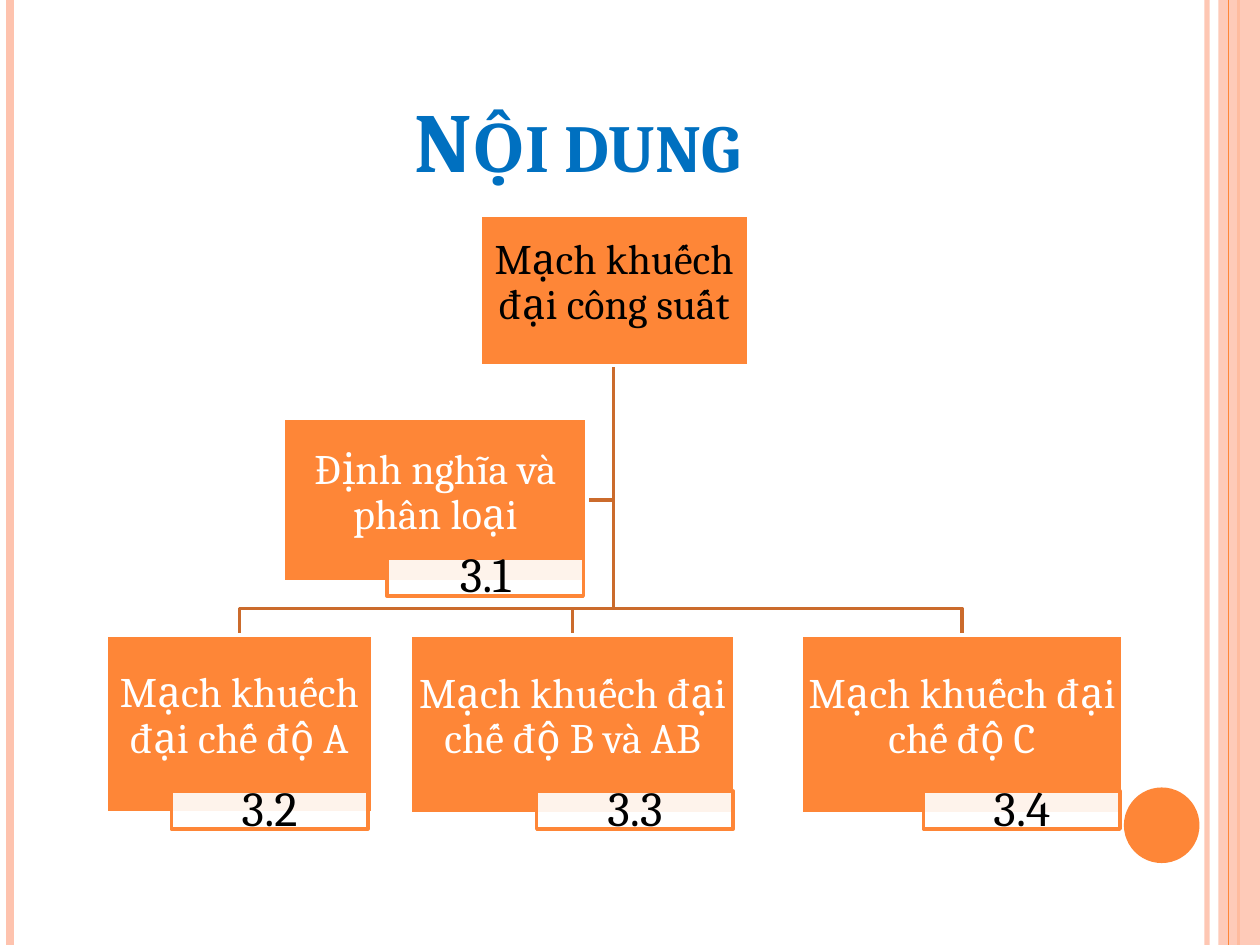
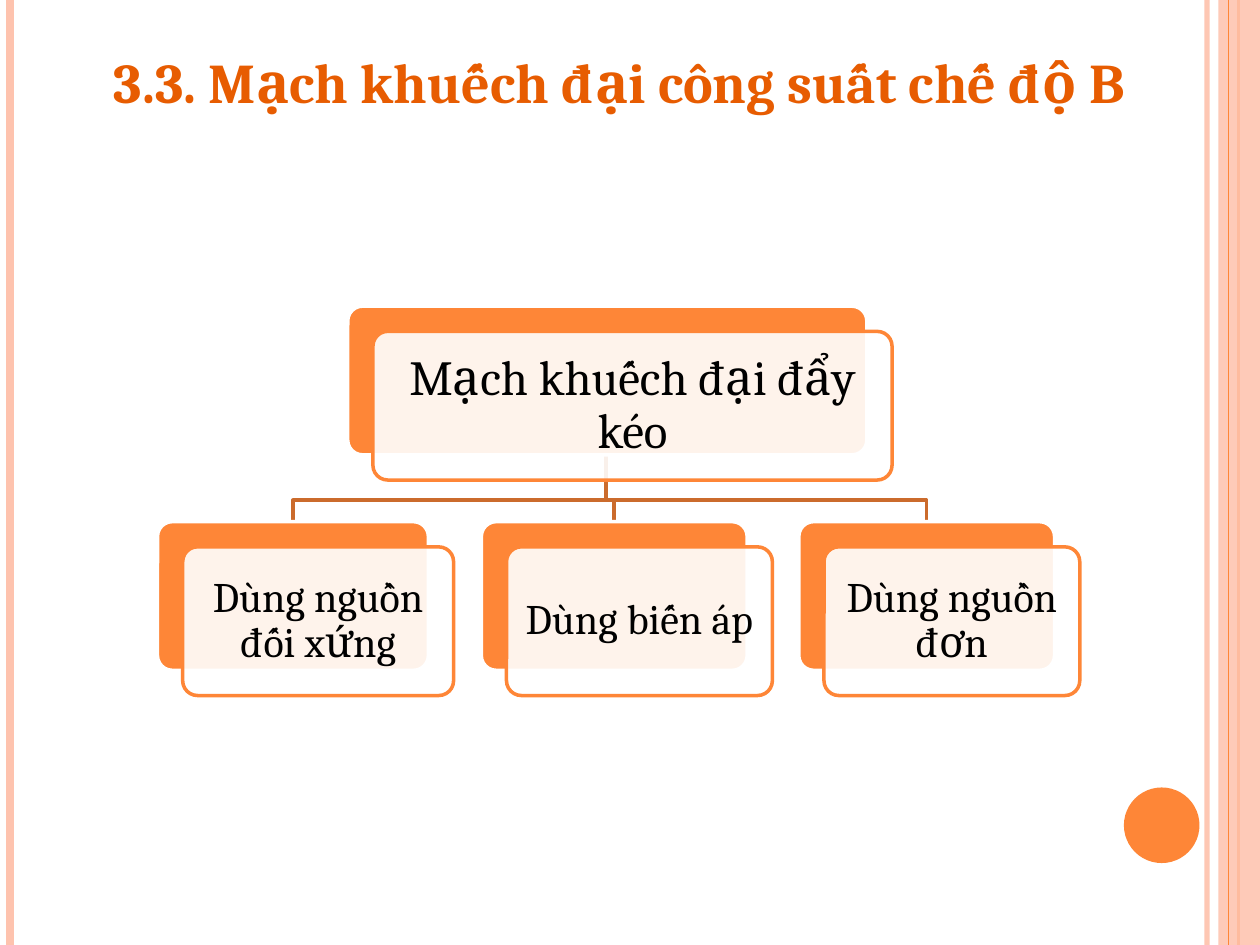
from dataclasses import dataclass

from lxml.etree import SubElement
from pptx import Presentation
from pptx.dml.color import RGBColor as Rgb
from pptx.enum.shapes import MSO_CONNECTOR as Link, MSO_SHAPE as Shape
from pptx.enum.text import MSO_ANCHOR as Anchor, PP_ALIGN as Align
from pptx.oxml.ns import qn
from pptx.util import Inches, Pt


@dataclass(frozen=True)
class Theme:
    font: str = "Cambria"
    orange: str = "FE8637"
    pink: str = "FEC3AE"
    brown: str = "CB6B2C"
    blue: str = "0070C0"
    rust: str = "E75C01"
    white: str = "FFFFFF"
    black: str = "000000"
    title: int = 48
    head: int = 32
    large: int = 28
    body: int = 24
    stroke: int = 2


class Deck:
    def __init__(self, theme):
        self.theme = theme
        self.file = Presentation()
        self.file.slide_width = Inches(10)
        self.file.slide_height = Inches(7.5)
        self.slide = None

    def page(self):
        t = self.theme
        self.slide = self.file.slides.add_slide(self.file.slide_layouts[6])
        self.rule(9.58, t.pink, 3, 93)
        self.rule(0.08, t.pink, 4.5)
        self.rule(9.83, t.orange, 1.5)
        self.shape(Shape.RECTANGLE, (9.67, 0, 0.33, 7.5), t.pink, alpha=87)
        self.rule(9.75, t.orange, 0.75)
        self.shape(Shape.OVAL, (8.92, 6.25, 0.6, 0.6), t.orange)

    def fade(self, form, alpha):
        color = form._element.spPr.find(f".//{qn('a:srgbClr')}")
        SubElement(color, qn("a:alpha"), val=str(alpha * 1000))

    def rule(self, x, color, width, alpha=100):
        line = self.slide.shapes.add_connector(
            Link.STRAIGHT, Inches(x), 0, Inches(x), Inches(7.5))
        line.line.color.rgb = Rgb.from_string(color)
        line.line.width = Pt(width)
        SubElement(line._element.spPr, qn("a:effectLst"))
        if alpha < 100:
            self.fade(line, alpha)

    def shape(self, kind, box, fill, edge=None, alpha=100):
        form = self.slide.shapes.add_shape(kind, *map(Inches, box))
        form.shadow.inherit = False
        form.fill.solid()
        form.fill.fore_color.rgb = Rgb.from_string(fill)
        if alpha < 100:
            self.fade(form, alpha)
        if edge:
            form.line.color.rgb = Rgb.from_string(edge)
            form.line.width = Pt(self.theme.stroke)
        else:
            form.line.fill.background()
        if kind == Shape.ROUNDED_RECTANGLE:
            form.adjustments[0] = 0.1
        return form

    def letter(self, form, text, size, color, pads, anchor=Anchor.MIDDLE, space=0.9):
        frame = form.text_frame
        frame.word_wrap = True
        frame.vertical_anchor = anchor
        (frame.margin_left, frame.margin_top,
         frame.margin_right, frame.margin_bottom) = map(Inches, pads)
        frame.text = text
        par = frame.paragraphs[0]
        par.alignment = Align.CENTER
        par.line_spacing = space
        run = par.runs[0]
        run.font.name = self.theme.font
        run.font.size = Pt(size)
        run.font.color.rgb = Rgb.from_string(color)
        return run

    def title(self, text, box, size, color, anchor, small=False):
        form = self.slide.shapes.add_textbox(*map(Inches, box))
        run = self.letter(form, text, size, color, (0.1, 0.05, 0.1, 0.05), anchor, 1.0)
        run.font.bold = True
        if small:
            run._r.get_or_add_rPr().set("cap", "small")

    def wire(self, *points):
        start, *rest = [(Inches(x), Inches(y)) for x, y in points]
        route = self.slide.shapes.build_freeform(*start)
        route.add_line_segments(rest, close=False)
        form = route.convert_to_shape()
        form.shadow.inherit = False
        form.fill.background()
        form.line.color.rgb = Rgb.from_string(self.theme.brown)
        form.line.width = Pt(self.theme.stroke)

    def tree(self, x, top, bend, boxes):
        for left, y, width, _ in reversed(boxes):
            mid = left + width / 2
            self.wire((x, top), (x, bend), (mid, bend), (mid, y))

    def node(self, text, box, color):
        t = self.theme
        form = self.shape(Shape.RECTANGLE, box, t.orange, t.white)
        self.letter(form, text, t.body, color, (0.02, 0.02, 0.02, 0.13))

    def tag(self, text, x, y):
        t = self.theme
        form = self.shape(Shape.RECTANGLE, (x, y, 1.56, 0.3), t.white, t.orange, 90)
        self.letter(form, text, t.large, t.black, (0.08, 0.02, 0.08, 0.02))

    def card(self, text, box, size, pad):
        t = self.theme
        x, y, width, height = box
        kind = Shape.ROUNDED_RECTANGLE
        self.shape(kind, box, t.orange, t.white)
        front = (x + 0.2, y + 0.2, width, height)
        form = self.shape(kind, front, t.white, t.orange, 90)
        self.letter(form, text, size, t.black, [pad] * 4)


def outline(deck):
    t = deck.theme
    deck.page()
    deck.title("Nội dung", (0.5, 0.3, 8.17, 1.25), t.title, t.blue, Anchor.BOTTOM, True)
    modes = [
        ("Mạch khuếch đại chế độ A", (0.84, 5.04, 2.12, 1.41), "3.2", 1.36),
        ("Mạch khuếch đại chế độ B và AB", (3.26, 5.04, 2.57, 1.42), "3.3", 4.26),
        ("Mạch khuếch đại chế độ C", (6.36, 5.04, 2.55, 1.42), "3.4", 7.33),
    ]
    deck.wire((4.87, 2.9), (4.87, 3.97), (4.67, 3.97))
    deck.tree(4.87, 2.9, 4.83, [box for _, box, _, _ in modes])
    deck.node("Mạch khuếch đại công suất", (3.81, 1.71, 2.13, 1.19), t.black)
    for text, box, mark, left in modes:
        deck.node(text, box, t.white)
        deck.tag(mark, left, 6.28)
    deck.node("Định nghĩa và phân loại", (2.25, 3.32, 2.41, 1.3), t.white)
    deck.tag("3.1", 3.07, 4.43)


def class_b(deck):
    t = deck.theme
    deck.page()
    deck.title("3.3. Mạch khuếch đại công suất chế độ B", (0.33, 0.33, 9.17, 0.64),
               t.head, t.rust, Anchor.TOP)
    types = [
        ("Dùng nguồn đối xứng", (1.25, 4.14, 2.15, 1.18)),
        ("Dùng biến áp", (3.82, 4.14, 2.11, 1.18)),
        ("Dùng nguồn đơn", (6.34, 4.14, 2.03, 1.18)),
    ]
    deck.tree(4.81, 3.6, 3.97, [box for _, box in types])
    deck.card("Mạch khuếch đại đẩy kéo", (2.76, 2.43, 4.12, 1.18), t.large, 0.12)
    for text, box in types:
        deck.card(text, box, t.body, 0.1)


def main():
    deck = Deck(Theme())
    outline(deck)
    class_b(deck)
    deck.file.save("out.pptx")


if __name__ == "__main__":
    main()
